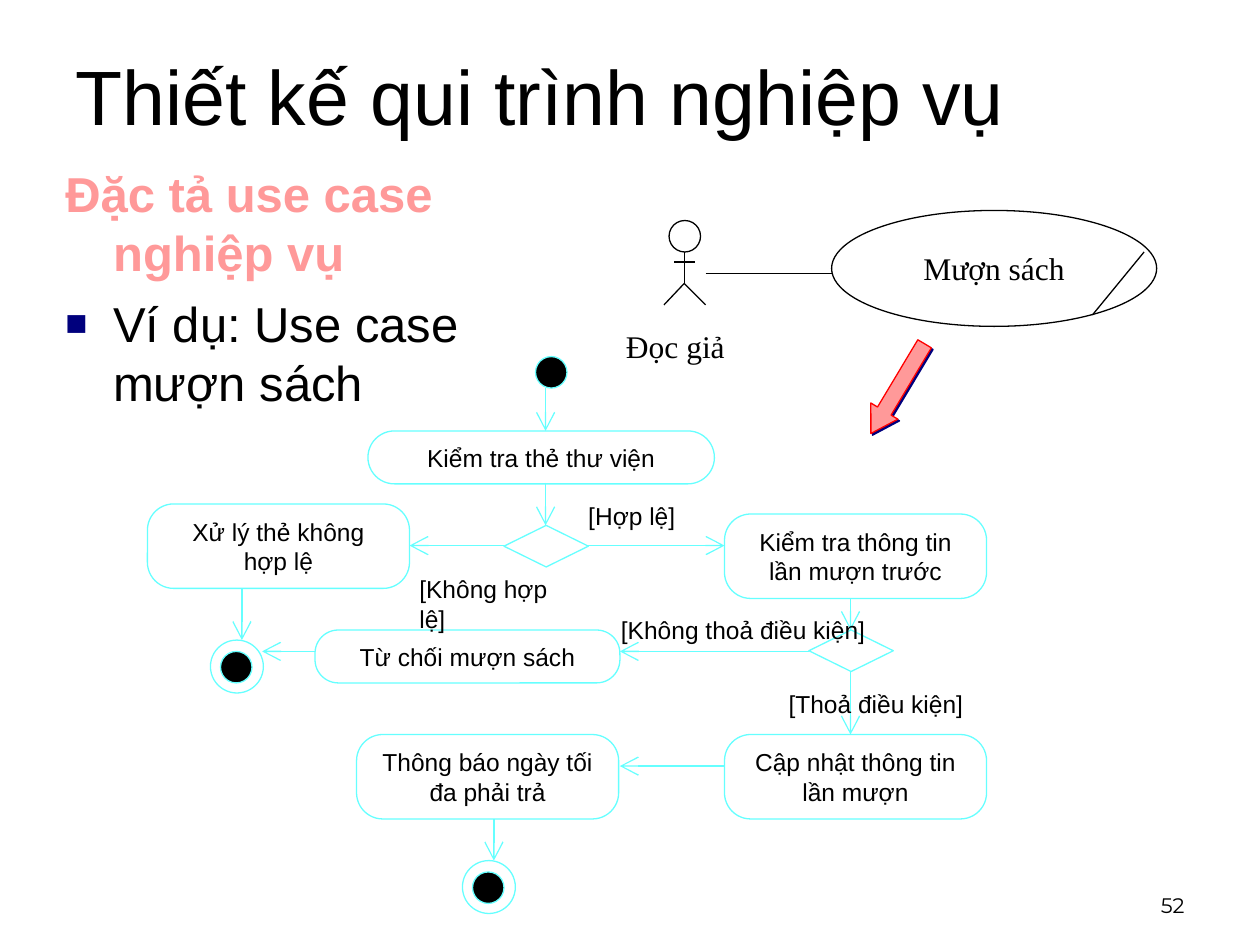
from dataclasses import dataclass
from lxml import etree
from pptx import Presentation
from pptx.dml.color import RGBColor
from pptx.enum import shapes, text
from pptx.oxml import ns
from pptx.util import Inches, Pt


@dataclass
class Theme:
    ink: str = "000000"
    paper: str = "FFFFFF"
    flow: str = "66FFFF"
    pink: str = "FF9999"
    red: str = "FF0000"
    navy: str = "00007D"
    sans: str = "Arial"
    serif: str = "Times New Roman"
    page: str = "Montserrat"
    title: int = 44
    body: int = 28
    actor: int = 18
    label: int = 14
    small: int = 12
    rule: float = 0.75


look = Theme()
kind = shapes.MSO_SHAPE
side = text.PP_ALIGN
rgb = RGBColor.from_string

deck = Presentation()
deck.slide_width, deck.slide_height = Inches(10), Inches(7.5)
slide = deck.slides.add_slide(deck.slide_layouts[5])
items = slide.shapes


def draw(form, box, line, fill=None):
    shape = items.add_shape(form, *map(Inches, box))
    shape.shadow.inherit = False
    if fill:
        shape.fill.solid()
        shape.fill.fore_color.rgb = rgb(fill)
    else:
        shape.fill.background()
    shape.line.color.rgb = rgb(line)
    shape.line.width = Pt(look.rule)
    return shape


def write(para, words, size, face=look.sans, color=look.ink, align=side.LEFT, bold=False):
    para.text = words
    para.alignment = align
    for run in para.runs:
        font = run.font
        font.size, font.name, font.bold = Pt(size), face, bold
        font.color.rgb = rgb(color)


title = slide.shapes.title
title.left, title.top, title.width, title.height = map(Inches, (0.5, 0, 9, 1.5))
title.text_frame.vertical_anchor = text.MSO_ANCHOR.MIDDLE
write(title.text_frame.paragraphs[0], "Thiết kế qui trình nghiệp vụ", look.title)

body = items.add_textbox(*map(Inches, (0.42, 1.25, 4.42, 4.95))).text_frame
body.word_wrap = True
head = body.paragraphs[0]
point = body.add_paragraph()
for para in (head, point):
    props = para._p.get_or_add_pPr()
    props.set("marL", str(Inches(0.38)))
    props.set("indent", str(Inches(-0.38)))
etree.SubElement(head._p.pPr, ns.qn("a:buNone"))
props = point._p.pPr
tint = etree.SubElement(props, ns.qn("a:buClr"))
etree.SubElement(tint, ns.qn("a:srgbClr"), val=look.navy)
etree.SubElement(props, ns.qn("a:buSzPct"), val="75000")
etree.SubElement(props, ns.qn("a:buFont"), typeface=look.sans)
etree.SubElement(props, ns.qn("a:buChar"), char="■")
point.space_before = Pt(7)
write(head, "Đặc tả use case nghiệp vụ", look.body, color=look.pink, bold=True)
write(point, "Ví dụ: Use case mượn sách", look.body)

page = items.add_textbox(*map(Inches, (7.17, 6.83, 2.33, 0.5))).text_frame
page.vertical_anchor = text.MSO_ANCHOR.BOTTOM
page.word_wrap = True
write(page.paragraphs[0], "52", look.small, look.page, align=side.RIGHT)

steps = [
    ("Kiểm tra thẻ thư viện", 2.92, 3.42, 2.75, 0.42, 0.5),
    ("Xử lý thẻ không hợp lệ", 1.17, 4, 2.08, 0.67, 0.31),
    ("Kiểm tra thông tin lần mượn trước", 5.75, 4.08, 2.08, 0.67, 0.31),
    ("Từ chối mượn sách", 2.5, 5, 2.42, 0.42, 0.44),
    ("Thông báo ngày tối đa phải trả", 2.83, 5.83, 2.08, 0.67, 0.31),
    ("Cập nhật thông tin lần mượn", 5.75, 5.83, 2.08, 0.67, 0.31),
]
for words, *box, curve in steps:
    step = draw(kind.ROUNDED_RECTANGLE, box, look.flow)
    step.adjustments[0] = curve
    step.text_frame.word_wrap = True
    step.text_frame.vertical_anchor = text.MSO_ANCHOR.MIDDLE
    write(step.text_frame.paragraphs[0], words, look.label, align=side.CENTER)

for left, top in ((4, 4.17), (6.42, 5)):
    draw(kind.DIAMOND, (left, top, 0.67, 0.33), look.flow)

for left, top in ((4.25, 2.83), (1.75, 5.17), (3.75, 6.92)):
    draw(kind.OVAL, (left, top, 0.25, 0.25), look.flow, look.ink)
for left, top in ((1.67, 5.08), (3.67, 6.83)):
    draw(kind.OVAL, (left, top, 0.42, 0.42), look.flow)

draw(kind.OVAL, (5.31, 1.75, 0.25, 0.25), look.ink, look.paper)
case = draw(kind.OVAL, (6.6, 1.67, 2.58, 0.92), look.ink, look.paper)
case.text_frame.vertical_anchor = text.MSO_ANCHOR.MIDDLE
write(case.text_frame.paragraphs[0], "Mượn sách", look.actor, look.serif, align=side.CENTER)

flows = [
    (4.33, 3.08, 4.33, 3.42),
    (4.33, 3.83, 4.33, 4.17),
    (4.67, 4.33, 5.75, 4.33),
    (4, 4.33, 3.25, 4.33),
    (1.92, 4.67, 1.92, 5.08),
    (6.75, 4.75, 6.75, 5),
    (6.42, 5.17, 4.92, 5.17),
    (2.5, 5.17, 2.08, 5.17),
    (6.75, 5.33, 6.75, 5.83),
    (5.75, 6.08, 4.92, 6.08),
    (3.92, 6.5, 3.92, 6.83),
]
strokes = [
    (5.43, 2, 5.43, 2.25),
    (5.43, 2.25, 5.27, 2.42),
    (5.43, 2.25, 5.6, 2.42),
    (5.35, 2.08, 5.52, 2.08),
    (9.08, 2, 8.67, 2.5),
    (5.6, 2.17, 6.6, 2.17),
]
for group, color, tip in ((flows, look.flow, True), (strokes, look.ink, False)):
    for ends in group:
        wire = items.add_connector(shapes.MSO_CONNECTOR.STRAIGHT, *map(Inches, ends))
        wire.line.color.rgb = rgb(color)
        wire.line.width = Pt(look.rule)
        if tip:
            etree.SubElement(wire.line._get_or_add_ln(), ns.qn("a:tailEnd"),
                             type="arrow", w="lg", len="lg")
        etree.SubElement(wire._element.spPr, ns.qn("a:effectLst"))

labels = [
    ("[Hợp lệ]", 4.57, 3.93, 0.89, 0.34, look.label, look.sans),
    ("[Không hợp lệ]", 3.23, 4.51, 1.47, 0.34, look.label, look.sans),
    ("[Không thoả điều kiện]", 4.83, 4.83, 2.14, 0.34, look.label, look.sans),
    ("[Thoả điều kiện]", 6.16, 5.42, 1.59, 0.34, look.label, look.sans),
    ("Đọc giả", 4.87, 2.55, 1.07, 0.4, look.actor, look.serif),
]
for words, *box, size, face in labels:
    frame = items.add_textbox(*map(Inches, box)).text_frame
    frame.word_wrap = False
    frame.auto_size = text.MSO_AUTO_SIZE.SHAPE_TO_FIT_TEXT
    write(frame.paragraphs[0], words, size, face)

arrow = draw(kind.DOWN_ARROW, (7, 2.67, 0.25, 0.83), look.red, look.pink)
arrow.adjustments[0], arrow.adjustments[1] = 0.5, 0.83
arrow.rotation = 30.9
glow = arrow._element.spPr.find(ns.qn("a:effectLst"))
shade = etree.SubElement(glow, ns.qn("a:outerShdw"), dist=str(Pt(1.4)),
                         dir=str(45 * 60000), algn="ctr", rotWithShape="0")
etree.SubElement(shade, ns.qn("a:srgbClr"), val=look.navy)

deck.save("out.pptx")
